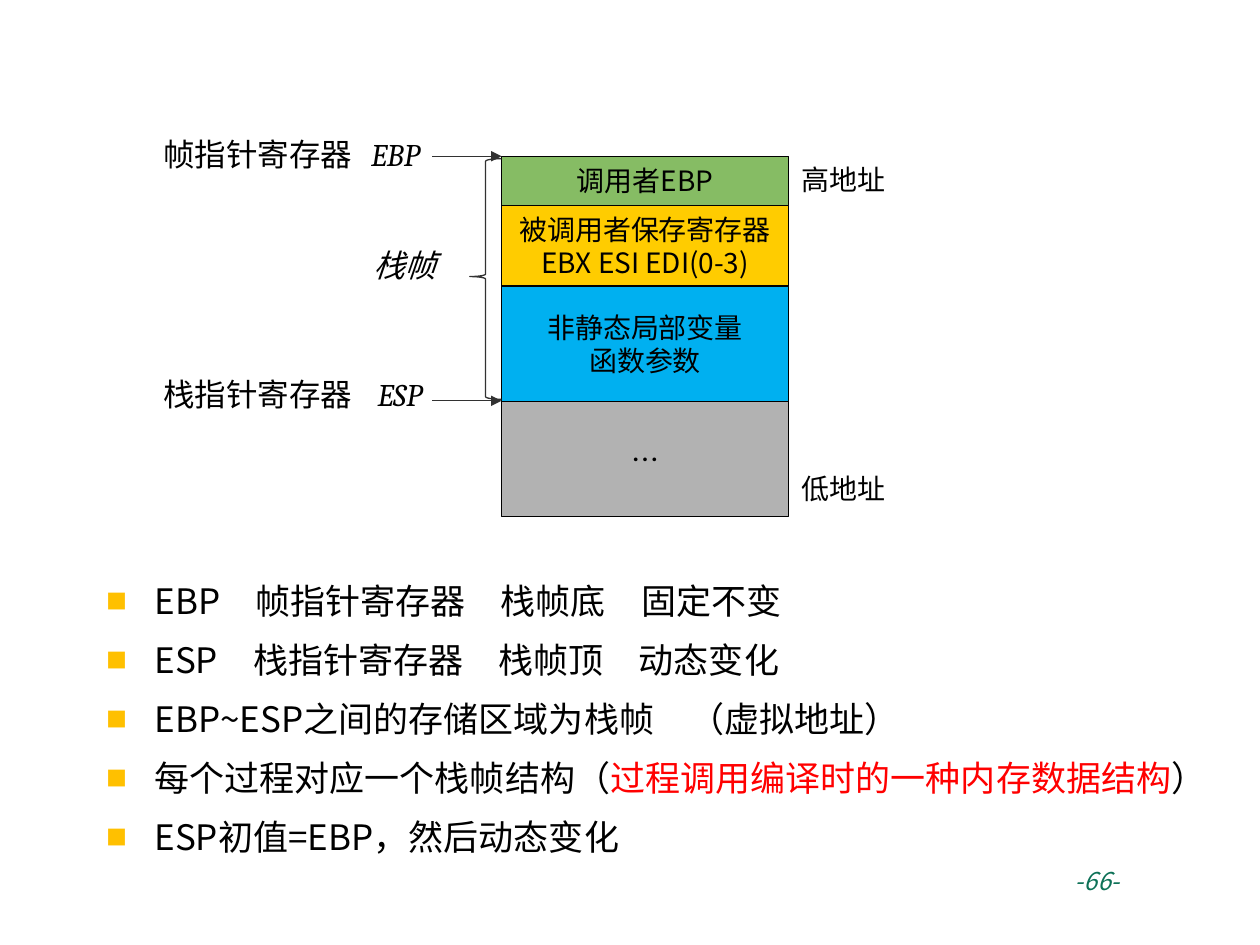
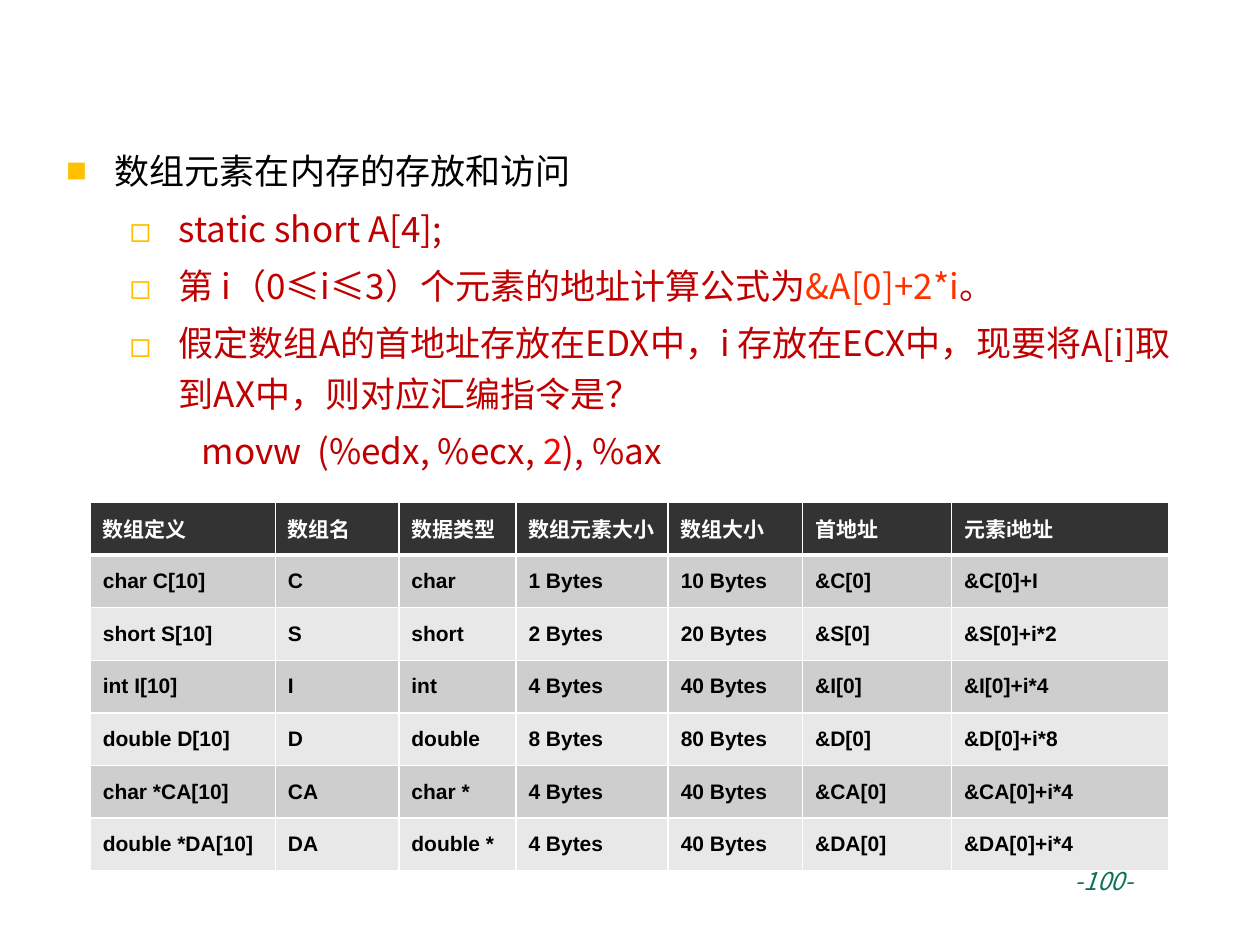
from lxml import etree
from pptx import Presentation
from pptx import util as u
from pptx.dml.color import RGBColor
from pptx.enum import shapes, text
from pptx.oxml import ns

SANS = "Noto Sans CJK SC"
SERIF = "Cambria"
BLACK = "000000"
WHITE = "FFFFFF"
GOLD = "FFC000"
RED = "FF0000"
WINE = "C00000"


def tint(code):
    return RGBColor.from_string(code)


def sub(node, tag, **attrs):
    return etree.SubElement(node, ns.qn(tag), attrs)


class Deck:
    def __init__(self):
        self.prs = Presentation()
        self.prs.slide_width = u.Cm(25.4)
        self.prs.slide_height = u.Cm(19.05)
        self.slide = None

    def start(self, number):
        self.slide = self.prs.slides.add_slide(self.prs.slide_layouts[1])
        title = self.slide.shapes.title.element
        title.getparent().remove(title)
        self.label(f"-{number}-", 21.42, 17.25, 2.6, size=14,
                   color="0D7157", italic=True, align=text.PP_ALIGN.LEFT)

    def run(self, para, words, size, color=BLACK, font=SANS, bold=False, italic=False):
        run = para.add_run()
        run.text = words
        face = run.font
        face.size = u.Pt(size)
        face.bold = bold
        face.italic = italic
        face.color.rgb = tint(color)
        face.name = font
        sub(run._r.get_or_add_rPr(), "a:ea", typeface=SANS)

    def label(self, words, left, top, width, size=18, align=text.PP_ALIGN.RIGHT, **style):
        box = self.slide.shapes.add_textbox(u.Cm(left), u.Cm(top), u.Cm(width), u.Cm(1.02))
        frame = box.text_frame
        frame.word_wrap = True
        frame.vertical_anchor = text.MSO_ANCHOR.MIDDLE
        para = frame.paragraphs[0]
        para.alignment = align
        self.run(para, words, size, **style)

    def body(self, left, top, height, gap, items):
        hold = self.slide.placeholders[1]
        hold.left, hold.top = u.Cm(left), u.Cm(top)
        hold.width, hold.height = u.Cm(22.83), u.Cm(height)
        frame = hold.text_frame
        frame.word_wrap = True
        frame.auto_size = text.MSO_AUTO_SIZE.NONE
        frame.vertical_anchor = text.MSO_ANCHOR.TOP
        for index, (kind, *runs) in enumerate(items):
            para = frame.paragraphs[0] if index == 0 else frame.add_paragraph()
            level, mark, scale, edge, hang = kind
            para.level = level
            para.alignment = text.PP_ALIGN.LEFT
            para.line_spacing = 1.2
            para.space_before = u.Pt(gap if index else 0)
            para.space_after = u.Pt(0)
            props = para._p.get_or_add_pPr()
            props.set("marL", str(u.Cm(edge)))
            props.set("indent", str(-u.Cm(hang)))
            if mark:
                sub(sub(props, "a:buClr"), "a:srgbClr", val=GOLD)
                sub(props, "a:buSzPct", val=str(scale * 1000))
                sub(props, "a:buFont", typeface=SANS)
                sub(props, "a:buChar", char=mark)
            else:
                sub(props, "a:buNone")
            for words, color in runs:
                self.run(para, words, 20, color)

    def block(self, lines, left, top, width, height, fill):
        rect = self.slide.shapes.add_shape(
            shapes.MSO_SHAPE.RECTANGLE, u.Cm(left), u.Cm(top), u.Cm(width), u.Cm(height))
        rect.shadow.inherit = False
        rect.fill.solid()
        rect.fill.fore_color.rgb = tint(fill)
        rect.line.color.rgb = tint(BLACK)
        rect.line.width = u.Pt(0.75)
        frame = rect.text_frame
        frame.vertical_anchor = text.MSO_ANCHOR.MIDDLE
        frame.margin_top = frame.margin_bottom = 0
        for index, words in enumerate(lines):
            para = frame.paragraphs[0] if index == 0 else frame.add_paragraph()
            para.alignment = text.PP_ALIGN.CENTER
            self.run(para, words, 16)

    def arrow(self, left, right, top):
        line = self.slide.shapes.add_connector(
            shapes.MSO_CONNECTOR.STRAIGHT, u.Cm(left), u.Cm(top), u.Cm(right), u.Cm(top))
        line.line.color.rgb = tint("323232")
        line.line.width = u.Pt(0.75)
        sub(line.line._get_or_add_ln(), "a:tailEnd", type="triangle")
        sub(line._element.spPr, "a:effectLst")

    def brace(self, left, top, width, height):
        brace = self.slide.shapes.add_shape(
            shapes.MSO_SHAPE.LEFT_BRACE, u.Cm(left), u.Cm(top), u.Cm(width), u.Cm(height))
        brace.adjustments[0] = 0.08
        brace.adjustments[1] = 0.49
        brace.shadow.inherit = False
        brace.fill.background()
        brace.line.color.rgb = tint("323232")
        brace.line.width = u.Pt(0.75)

    def rule(self, cell):
        edge = sub(cell._tc.get_or_add_tcPr(), "a:lnB", w=str(u.Pt(3)))
        sub(sub(edge, "a:solidFill"), "a:srgbClr", val=WHITE)

    def table(self, left, top, widths, high, rows):
        grid = self.slide.shapes.add_table(
            len(rows), len(widths), u.Cm(left), u.Cm(top),
            u.Cm(sum(widths)), u.Cm(high * len(rows))).table
        for col, width in zip(grid.columns, widths):
            col.width = u.Cm(width)
        for r, row in enumerate(rows):
            fill = "333333" if r == 0 else ("E8E8E8", "CECECE")[r % 2]
            color = BLACK if r else WHITE
            for c, words in enumerate(row):
                cell = grid.cell(r, c)
                if r == 0:
                    self.rule(cell)
                cell.fill.solid()
                cell.fill.fore_color.rgb = tint(fill)
                cell.vertical_anchor = text.MSO_ANCHOR.MIDDLE
                self.run(cell.text_frame.paragraphs[0], words, 12, color, "Arial", bold=True)


MAIN = (0, "■", 60, 0.97, 0.97)
ITEM = (1, "◻", 100, 2.26, 0.99)
CODE = (1, None, 100, 2.72, 0)


def stack(deck):
    deck.start(66)
    deck.body(1.89, 11.38, 6.8, 5, [
        (MAIN, ("EBP　帧指针寄存器　栈帧底　固定不变", BLACK)),
        (MAIN, ("ESP　栈指针寄存器　栈帧顶　动态变化", BLACK)),
        (MAIN, ("EBP~ESP之间的存储区域为栈帧　（虚拟地址）", BLACK)),
        (MAIN, ("每个过程对应一个栈帧结构（", BLACK),
         ("过程调用编译时的一种内存数据结构", RED), ("）", BLACK)),
        (MAIN, ("ESP初值=EBP，然后动态变化", BLACK)),
    ])
    left, top = 10.11, 3.15
    for lines, high, fill in [
        (["调用者EBP"], 0.99, "86BC64"),
        (["被调用者保存寄存器", "EBX ESI EDI(0-3)"], 1.63, "FFCC00"),
        (["非静态局部变量", "函数参数"], 2.33, "00B0F0"),
        (["…"], 2.31, "B2B2B2"),
    ]:
        deck.block(lines, left, top, 5.79, high, fill)
        top += high
    for name, words, edge, high, tip in [
        ("EBP", "帧指针寄存器", 8.71, 2.6, 3.15),
        ("ESP", "栈指针寄存器", 8.76, 7.44, 8.08),
    ]:
        deck.label(words, 2.88, high, 4.47)
        deck.label(name, edge - 2.21, high, 2.21, font=SERIF, italic=True)
        deck.arrow(8.71, left, tip)
    deck.brace(9.47, 3.2, 0.64, 4.85)
    deck.label("栈帧", 4.67, 4.83, 4.37, italic=True)
    deck.label("高地址", 15.51, 3.11, 2.59, size=16)
    deck.label("低地址", 15.51, 9.33, 2.59, size=16)


def arrays(deck):
    deck.start(100)
    deck.body(1.09, 2.72, 7.2, 4, [
        (MAIN, ("数组元素在内存的存放和访问", BLACK)),
        (ITEM, ("static short A[4];", WINE)),
        (ITEM, ("第 i（0≤i≤3）个元素的地址计算公式为", WINE),
         ("&A[0]+2*i", "FF3300"), ("。", WINE)),
        (ITEM, ("假定数组A的首地址存放在EDX中，i 存放在ECX中，"
                "现要将A[i]取到AX中，则对应汇编指令是？", WINE)),
        (CODE, ("movw  (%edx, %ecx, ", WINE), ("2", RED), ("), %ax", WINE)),
    ])
    rows = [["数组定义", "数组名", "数据类型", "数组元素大小", "数组大小", "首地址", "元素i地址"]]
    for kind, name, size, step in [
        ("char", "C", 1, "I"),
        ("short", "S", 2, "i*2"),
        ("int", "I", 4, "i*4"),
        ("double", "D", 8, "i*8"),
        ("char *", "CA", 4, "i*4"),
        ("double *", "DA", 4, "i*4"),
    ]:
        head = kind if kind.endswith("*") else kind + " "
        base = f"&{name}[0]"
        rows.append([f"{head}{name}[10]", name, kind, f"{size} Bytes",
                     f"{size * 10} Bytes", base, f"{base}+{step}"])
    deck.table(1.82, 10.13, [3.73, 2.49, 2.36, 3.07, 2.71, 3, 4.39], 1.06, rows)


def main():
    deck = Deck()
    stack(deck)
    arrays(deck)
    deck.prs.save("out.pptx")


if __name__ == "__main__":
    main()
